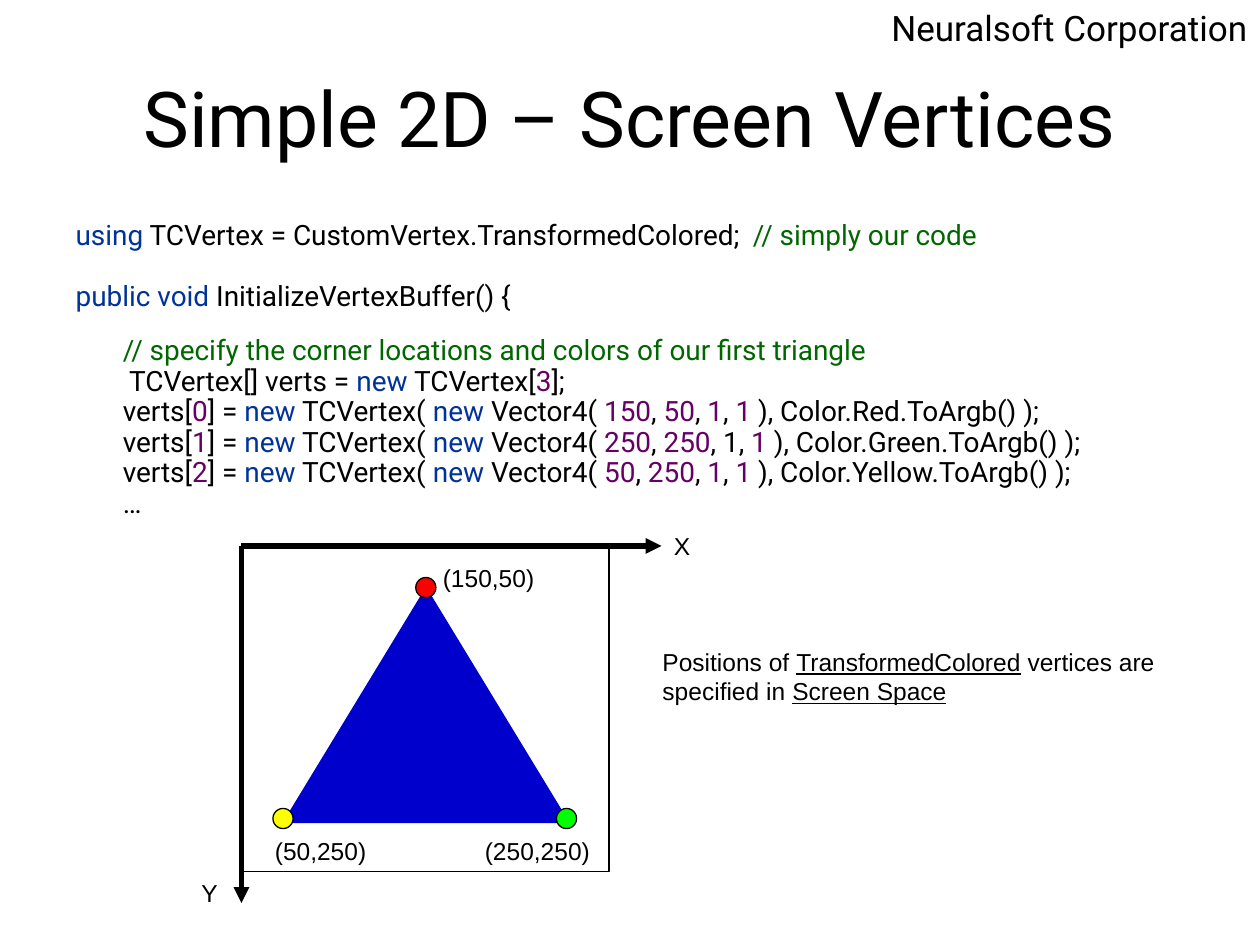
from dataclasses import dataclass
from typing import NamedTuple

from lxml import etree
from pptx import Presentation
from pptx.dml.color import RGBColor
from pptx.enum.shapes import MSO_CONNECTOR, MSO_SHAPE
from pptx.enum.text import MSO_ANCHOR, MSO_AUTO_SIZE, PP_ALIGN
from pptx.oxml.ns import qn
from pptx.util import Pt

RECTANGLE, TRIANGLE, OVAL = MSO_SHAPE.RECTANGLE, MSO_SHAPE.ISOSCELES_TRIANGLE, MSO_SHAPE.OVAL
STRAIGHT = MSO_CONNECTOR.STRAIGHT
LEFT, CENTER, RIGHT = PP_ALIGN.LEFT, PP_ALIGN.CENTER, PP_ALIGN.RIGHT
TOP, MIDDLE = MSO_ANCHOR.TOP, MSO_ANCHOR.MIDDLE
NO_FIT, GROW = MSO_AUTO_SIZE.NONE, MSO_AUTO_SIZE.SHAPE_TO_FIT_TEXT


@dataclass(frozen=True)
class Theme:
    black: RGBColor = RGBColor(0x00, 0x00, 0x00)
    keyword: RGBColor = RGBColor(0x00, 0x33, 0x99)
    comment: RGBColor = RGBColor(0x00, 0x66, 0x00)
    number: RGBColor = RGBColor(0x66, 0x00, 0x66)
    triangle: RGBColor = RGBColor(0x00, 0x00, 0xCC)
    red: RGBColor = RGBColor(0xFF, 0x00, 0x00)
    yellow: RGBColor = RGBColor(0xFF, 0xFF, 0x00)
    green: RGBColor = RGBColor(0x00, 0xFF, 0x00)
    slide_font: str = "Roboto"
    label_font: str = "Arial"
    title_size: float = 44
    header_size: float = 20
    code_size: float = 16
    label_size: float = 14
    thin: float = 0.75
    axis: float = 3


THEME = Theme()


class Box(NamedTuple):
    left: float
    top: float
    width: float
    height: float


class Token(NamedTuple):
    text: str
    color: RGBColor = THEME.black


class CodeLine(NamedTuple):
    tokens: list[Token]
    space_before: float = 4


class Phrase(NamedTuple):
    text: str
    underline: bool = False


class Vertex(NamedTuple):
    x: int
    y: int
    color_name: str
    dot_color: RGBColor
    dot_left: float
    dot_top: float
    label: Box
    plain_depth: bool = False


VERTICES = [
    Vertex(150, 50, "Red", THEME.red, 237.6, 330, Box(246, 318, 67, 24.5)),
    Vertex(250, 250, "Green", THEME.green, 318, 462, Box(270, 474, 75, 24.5), plain_depth=True),
    Vertex(50, 250, "Yellow", THEME.yellow, 156, 462, Box(150, 474, 67, 24.5)),
]
DOT = 11.5
ORIGIN_X, ORIGIN_Y = 138, 312


def place(shape, box: Box) -> None:
    shape.left, shape.top, shape.width, shape.height = map(Pt, box)


def set_font(paragraph, name: str, size: float) -> None:
    paragraph.font.name = name
    paragraph.font.size = Pt(size)


def add_text(slide, box: Box, lines: list[list[Phrase]], font: str, size: float,
             align=LEFT, wrap: bool = False) -> None:
    textbox = slide.shapes.add_textbox(*map(Pt, box))
    frame = textbox.text_frame
    frame.word_wrap = wrap
    frame.auto_size = GROW
    for i, phrases in enumerate(lines):
        paragraph = frame.add_paragraph() if i else frame.paragraphs[0]
        paragraph.alignment = align
        set_font(paragraph, font, size)
        paragraph.font.color.rgb = THEME.black
        for phrase in phrases:
            run = paragraph.add_run()
            run.text = phrase.text
            if phrase.underline:
                run.font.underline = True


def add_label(slide, box: Box, text: str) -> None:
    add_text(slide, box, [[Phrase(text)]], THEME.label_font, THEME.label_size)


def add_figure(slide, kind, box: Box, line: RGBColor, fill: RGBColor | None = None) -> None:
    figure = slide.shapes.add_shape(kind, *map(Pt, box))
    figure.shadow.inherit = False
    if fill is None:
        figure.fill.background()
    else:
        figure.fill.solid()
        figure.fill.fore_color.rgb = fill
    figure.line.color.rgb = line
    figure.line.width = Pt(THEME.thin)


def add_axis(slide, end_x: float, end_y: float) -> None:
    axis = slide.shapes.add_connector(STRAIGHT, Pt(ORIGIN_X), Pt(ORIGIN_Y), Pt(end_x), Pt(end_y))
    axis.line.color.rgb = THEME.black
    axis.line.width = Pt(THEME.axis)
    etree.SubElement(axis.line._get_or_add_ln(), qn("a:tailEnd"), type="triangle")
    etree.SubElement(axis._element.spPr, qn("a:effectLst"))


def vertex_code(index: int, vertex: Vertex) -> CodeLine:
    new = Token("new", THEME.keyword)
    comma = Token(", ")
    one = Token("1", THEME.number)
    depth = Token("1") if vertex.plain_depth else one
    return CodeLine([
        Token("\tverts["), Token(str(index), THEME.number), Token("] = "),
        new, Token(" TCVertex( "), new, Token(" Vector4( "),
        Token(str(vertex.x), THEME.number), comma, Token(str(vertex.y), THEME.number), comma,
        depth, comma, one, Token(f" ), Color.{vertex.color_name}.ToArgb() );"),
    ])


def write_code(frame, lines: list[CodeLine]) -> None:
    for i, line in enumerate(lines):
        paragraph = frame.add_paragraph() if i else frame.paragraphs[0]
        paragraph.line_spacing = 0.7
        paragraph.space_before = Pt(line.space_before)
        # Hanging indent, no bullet, a tab stop at every inch
        properties = paragraph._p.get_or_add_pPr()
        properties.set("marL", str(Pt(27)))
        properties.set("indent", str(-Pt(27)))
        etree.SubElement(properties, qn("a:buNone"))
        tabs = etree.SubElement(properties, qn("a:tabLst"))
        for inch in range(8):
            etree.SubElement(tabs, qn("a:tab"), pos=str(Pt(72 * inch)), algn="l")
        set_font(paragraph, THEME.slide_font, THEME.code_size)
        for token in line.tokens:
            run = paragraph.add_run()
            run.text = token.text
            run.font.color.rgb = token.color


def main() -> None:
    deck = Presentation()
    deck.slide_width, deck.slide_height = Pt(720), Pt(540)
    slide = deck.slides.add_slide(deck.slide_layouts[1])

    # Header and title
    add_text(slide, Box(366, 0, 354, 31.5), [[Phrase("Neuralsoft Corporation")]],
             THEME.slide_font, THEME.header_size, RIGHT, wrap=True)
    title = slide.shapes.title
    place(title, Box(36, 21.6, 648, 90))
    title.text_frame.text = "Simple 2D – Screen Vertices"
    title.text_frame.vertical_anchor = MIDDLE
    title.text_frame.auto_size = NO_FIT
    heading = title.text_frame.paragraphs[0]
    heading.alignment = CENTER
    set_font(heading, THEME.slide_font, THEME.title_size)
    heading.font.color.rgb = THEME.black

    # Code listing
    code = slide.placeholders[1]
    place(code, Box(36, 126, 648, 192))
    code.text_frame.vertical_anchor = TOP
    code.text_frame.auto_size = NO_FIT
    write_code(code.text_frame, [
        CodeLine([Token("using", THEME.keyword),
                  Token(" TCVertex = CustomVertex.TransformedColored;\t"),
                  Token("// simply our code", THEME.comment)], space_before=0),
        CodeLine([Token("public void ", THEME.keyword),
                  Token("InitializeVertexBuffer() {")], space_before=21.5),
        CodeLine([Token("\t// specify the corner locations and colors of our first triangle",
                        THEME.comment)], space_before=17.5),
        CodeLine([Token("\t TCVertex[] verts = "), Token("new", THEME.keyword),
                  Token(" TCVertex["), Token("3", THEME.number), Token("];")]),
        *(vertex_code(i, vertex) for i, vertex in enumerate(VERTICES)),
        CodeLine([Token("\t…")]),
    ])

    # Screen with the triangle and its vertices
    add_figure(slide, RECTANGLE, Box(ORIGIN_X, ORIGIN_Y, 210, 186), THEME.black)
    add_figure(slide, TRIANGLE, Box(162, 336, 163, 134), THEME.triangle, THEME.triangle)
    for vertex in VERTICES:
        add_label(slide, vertex.label, f"({vertex.x},{vertex.y})")
        add_figure(slide, OVAL, Box(vertex.dot_left, vertex.dot_top, DOT, DOT),
                   THEME.black, vertex.dot_color)

    # Axes
    add_axis(slide, 378, ORIGIN_Y)
    add_axis(slide, ORIGIN_X, 516)
    add_label(slide, Box(378, 300, 24, 24.5), "X")
    add_label(slide, Box(108, 498, 24, 24.5), "Y")

    # Remark
    add_text(slide, Box(371.5, 366, 296, 41), [
        [Phrase("Positions of "), Phrase("TransformedColored", True), Phrase(" vertices are")],
        [Phrase("specified in "), Phrase("Screen Space", True)],
    ], THEME.label_font, THEME.label_size)

    deck.save("out.pptx")


if __name__ == "__main__":
    main()
